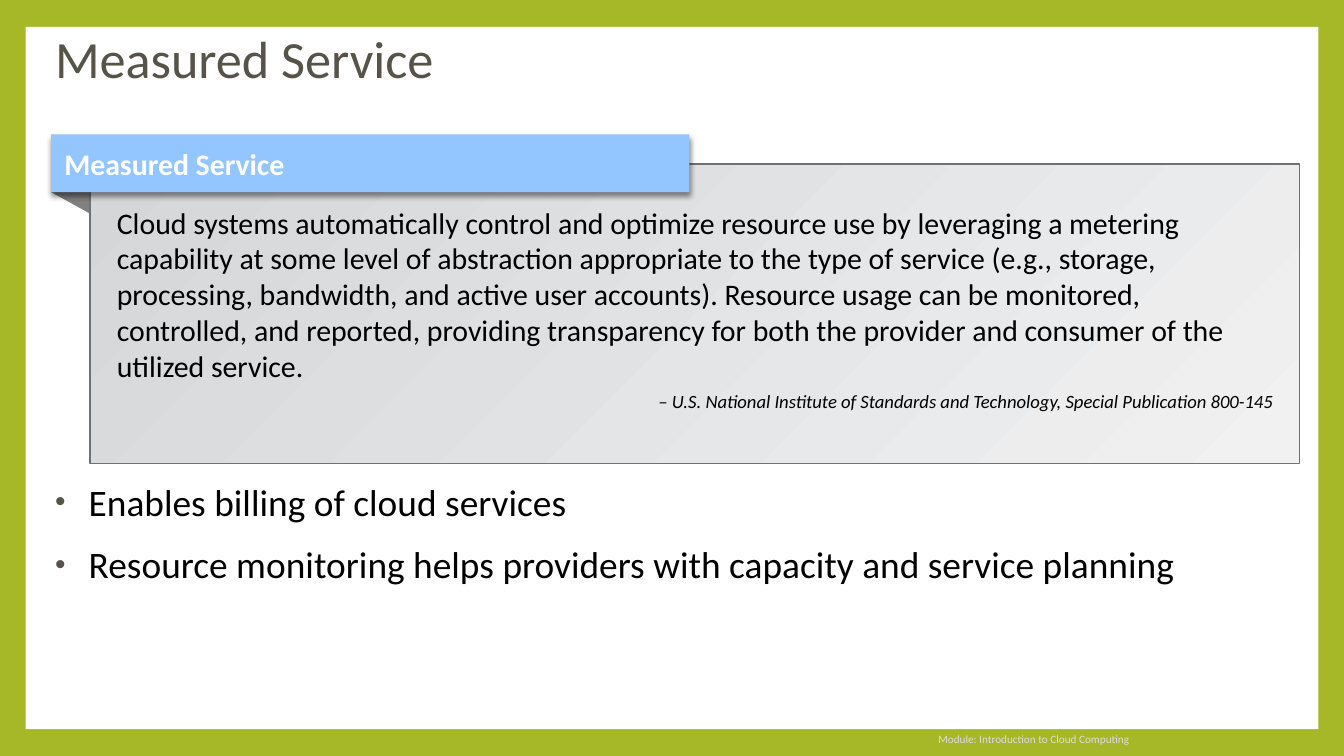
from lxml import etree
from pptx import Presentation
from pptx import util as u
from pptx.dml.color import RGBColor
from pptx.enum import shapes, text
from pptx.oxml.ns import qn

TITLE = "Measured Service"
QUOTE = (
    "Cloud systems automatically control and optimize resource use by leveraging a metering "
    "capability at some level of abstraction appropriate to the type of service (e.g., storage, "
    "processing, bandwidth, and active user accounts). Resource usage can be monitored, "
    "controlled, and reported, providing transparency for both the provider and consumer of "
    "the utilized service."
)
CITE = "– U.S. National Institute of Standards and Technology, Special Publication 800-145"
POINTS = [
    "Enables billing of cloud services",
    "Resource monitoring helps providers with capacity and service planning",
]
FOOTER = "Module: Introduction to Cloud Computing"

HUES = {
    "frame": "A6B727", "page": "FFFFFF", "title": "565349", "body": "000000",
    "foot": "DDDDDD", "fold": "808080", "edge": "717074", "tab": "93C5FF",
    "dark": "D4D6D8", "light": "F1F1F2",
}
FONT = "Calibri"
WIDE = 10
HIGH = WIDE * 9 / 16
SIDE, RIM = 0.19, 0.2
LEFT, SPAN = 0.41, 9.25
PANEL = (0.67, 1.22, 9, 2.23)
TAB = (0.38, 1, 4.75, 0.43)
FOLD = 0.16


def hue(name):
    return RGBColor.from_string(HUES[name])


def inches(box):
    return [u.Inches(v) for v in box]


def setup(shape, pad, anchor="TOP"):
    """Set wrapping, insets (left, top, right, bottom) and anchor."""
    frame = shape.text_frame
    frame.word_wrap = True
    frame.auto_size = text.MSO_AUTO_SIZE.NONE
    frame.vertical_anchor = getattr(text.MSO_ANCHOR, anchor)
    (frame.margin_left, frame.margin_top,
     frame.margin_right, frame.margin_bottom) = inches(pad)
    return frame


def write(frame, words, size, color="body", align="LEFT", bold=False, italic=False,
          line=1.0, before=0, bullet=None):
    """Fill the first paragraph if it is empty, else add one."""
    first = not frame.text
    para = frame.paragraphs[0] if first else frame.add_paragraph()
    if bullet:
        props = para._p.get_or_add_pPr()
        props.set("marL", str(u.Inches(0.25)))
        props.set("indent", str(-u.Inches(0.25)))
        tint = etree.SubElement(props, qn("a:buClr"))
        etree.SubElement(tint, qn("a:srgbClr"), val=HUES[bullet])
        etree.SubElement(props, qn("a:buSzPct"), val="80000")
        etree.SubElement(props, qn("a:buFont"), typeface="Arial")
        etree.SubElement(props, qn("a:buChar"), char="•")
    para.alignment = getattr(text.PP_ALIGN, align)
    para.line_spacing = line
    para.space_before = u.Pt(0 if first else before)
    run = para.add_run()
    run.text = words
    font = run.font
    font.name, font.size, font.bold, font.italic = FONT, u.Pt(size), bold, italic
    font.color.rgb = hue(color)


def paint(shape, color):
    shape.shadow.inherit = False
    shape.fill.solid()
    shape.fill.fore_color.rgb = hue(color)
    shape.line.fill.background()
    return shape


def cast(shape):
    """Add a soft shadow that falls straight down."""
    effects = shape._element.spPr.find(qn("a:effectLst"))
    outer = etree.SubElement(effects, qn("a:outerShdw"), blurRad=str(u.Pt(3)),
                             dist=str(u.Pt(2)), dir="5400000", rotWithShape="0")
    tint = etree.SubElement(outer, qn("a:srgbClr"), val=HUES["body"])
    etree.SubElement(tint, qn("a:alpha"), val="45000")


def main():
    deck = Presentation()
    deck.slide_width, deck.slide_height = inches((WIDE, HIGH))
    slide = deck.slides.add_slide(deck.slide_layouts[5])
    slide.background.fill.solid()
    slide.background.fill.fore_color.rgb = hue("frame")
    parts = slide.shapes
    rect = shapes.MSO_SHAPE.RECTANGLE

    page = (SIDE, RIM, WIDE - 2 * SIDE, HIGH - 2 * RIM)
    paint(parts.add_shape(rect, *inches(page)), "page")

    title = parts.title
    title.left, title.top, title.width, title.height = inches((LEFT, 0.25, SPAN, 0.5))
    parts._spTree.append(title._element)
    write(setup(title, (0, 0, 0, 0)), TITLE, 28, "title", line=0.9)

    points = setup(parts.add_textbox(*inches((LEFT, 3.6, SPAN, 1.23))), (0, 0, 0, 0))
    for point in POINTS:
        write(points, point, 20, line=0.9, before=12, bullet="title")

    foot = parts.add_textbox(*inches((2.83, 5.42, 5.67, 0.15)))
    write(setup(foot, (0.1, 0, 0.1, 0), "MIDDLE"), FOOTER, 6, "foot", "RIGHT")

    base = TAB[1] + TAB[3]
    path = parts.build_freeform(*inches((TAB[0], base)), scale=1.0)
    path.add_line_segments([inches((PANEL[0], base)), inches((PANEL[0], base + FOLD))])
    paint(path.convert_to_shape(), "fold")

    panel = paint(parts.add_shape(rect, *inches(PANEL)), "dark")
    panel.fill.gradient()
    panel.fill.gradient_angle = 315
    for stop, name in zip(panel.fill.gradient_stops, ("dark", "light")):
        stop.color.rgb = hue(name)
    panel.line.color.rgb = hue("edge")
    panel.line.width = u.Pt(1)
    quote = setup(panel, (0.2, 0.3, 0.2, 0.05))
    write(quote, QUOTE, 16)
    write(quote, CITE, 10, align="RIGHT", italic=True, before=3.6)

    tab = paint(parts.add_shape(rect, *inches(TAB)), "tab")
    cast(tab)
    write(setup(tab, (0.1, 0.05, 0.1, 0.05), "MIDDLE"), TITLE, 16, "page", bold=True)

    deck.save("out.pptx")


if __name__ == "__main__":
    main()
